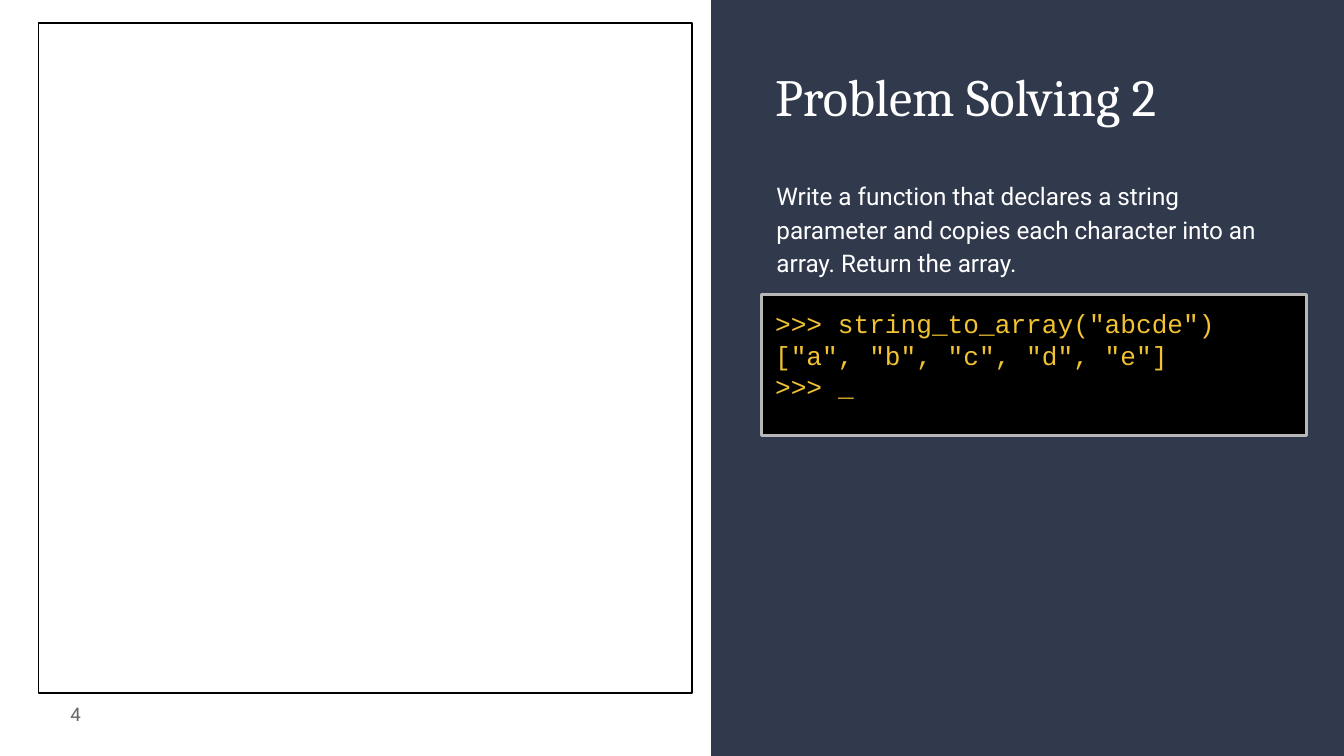
from pptx import Presentation
from pptx.dml.color import RGBColor
from pptx.enum.shapes import MSO_SHAPE
from pptx.enum.text import MSO_ANCHOR, PP_ALIGN
from pptx.util import Pt

WIDTH, HEIGHT = 720, 405
NAVY, WHITE, BLACK = "31394D", "FFFFFF", "000000"
GREY, SILVER, GOLD = "666666", "B7B7B7", "F1C232"

PANEL = (381, 0, WIDTH - 381, HEIGHT)
PANEL_SLOPE = [(381, 0), (WIDTH, 0), (WIDTH, 276.5), (381, 384.5)]
ANSWER_BOX = (20.7, 12.3, 350, 359)
CONSOLE = (408.2, 157.7, 291.9, 75.7)
CONSOLE_LINES = ['>>> string_to_array("abcde")', '["a", "b", "c", "d", "e"]', ">>> "]
CURSOR = "_"

# text, box, font, size, colour, anchor, alignment, line spacing
TEXTS = [
    ("Problem Solving 2", (408.2, 27.4, 291.9, 50.4),
     "Cambria", 28, WHITE, MSO_ANCHOR.TOP, PP_ALIGN.LEFT, 1),
    ("4", (7.2, 367.2, 43.2, 31),
     "Roboto", 10, GREY, MSO_ANCHOR.MIDDLE, PP_ALIGN.RIGHT, 1),
    ("Write a function that declares a string parameter and copies each "
     "character into an array. Return the array.", (408.9, 95.2, 291.9, 53.3),
     "Roboto", 13, WHITE, MSO_ANCHOR.MIDDLE, PP_ALIGN.LEFT, 1.15),
]


def rgb(color):
    return RGBColor.from_string(color)


def paint(s, fill=None, line=None, width=0.75):
    s.shadow.inherit = False
    if fill:
        s.fill.solid()
        s.fill.fore_color.rgb = rgb(fill)
    else:
        s.fill.background()
    if line:
        s.line.color.rgb = rgb(line)
        s.line.width = Pt(width)
    else:
        s.line.fill.background()


def add_rect(slide, box, **style):
    s = slide.shapes.add_shape(MSO_SHAPE.RECTANGLE, *map(Pt, box))
    paint(s, **style)
    return s


def set_text(s, lines, font, size, color, anchor, align, spacing):
    tf = s.text_frame
    tf.word_wrap = True
    tf.vertical_anchor = anchor
    tf.margin_left = tf.margin_right = tf.margin_top = tf.margin_bottom = Pt(7.2)
    tf.text = "\n".join(lines)
    for p in tf.paragraphs:
        p.alignment = align
        p.line_spacing = spacing
        p.font.name = font
        p.font.size = Pt(size)
        p.font.color.rgb = rgb(color)
    return tf


prs = Presentation()
prs.slide_width, prs.slide_height = Pt(WIDTH), Pt(HEIGHT)
slide = prs.slides.add_slide(prs.slide_layouts[6])

add_rect(slide, PANEL, fill=NAVY)
points = [(Pt(x), Pt(y)) for x, y in PANEL_SLOPE]
builder = slide.shapes.build_freeform(*points[0])
builder.add_line_segments(points[1:], close=True)
paint(builder.convert_to_shape(), fill=NAVY)

add_rect(slide, ANSWER_BOX, line=BLACK)
for text, box, *style in TEXTS:
    set_text(slide.shapes.add_textbox(*map(Pt, box)), [text], *style)

console = add_rect(slide, CONSOLE, fill=BLACK, line=SILVER, width=1.5)
tf = set_text(console, CONSOLE_LINES, "Courier New", 14, GOLD,
              MSO_ANCHOR.TOP, PP_ALIGN.LEFT, 1)
r = tf.paragraphs[-1].add_run()
r.text = CURSOR
r.font.bold = True

prs.save("out.pptx")
